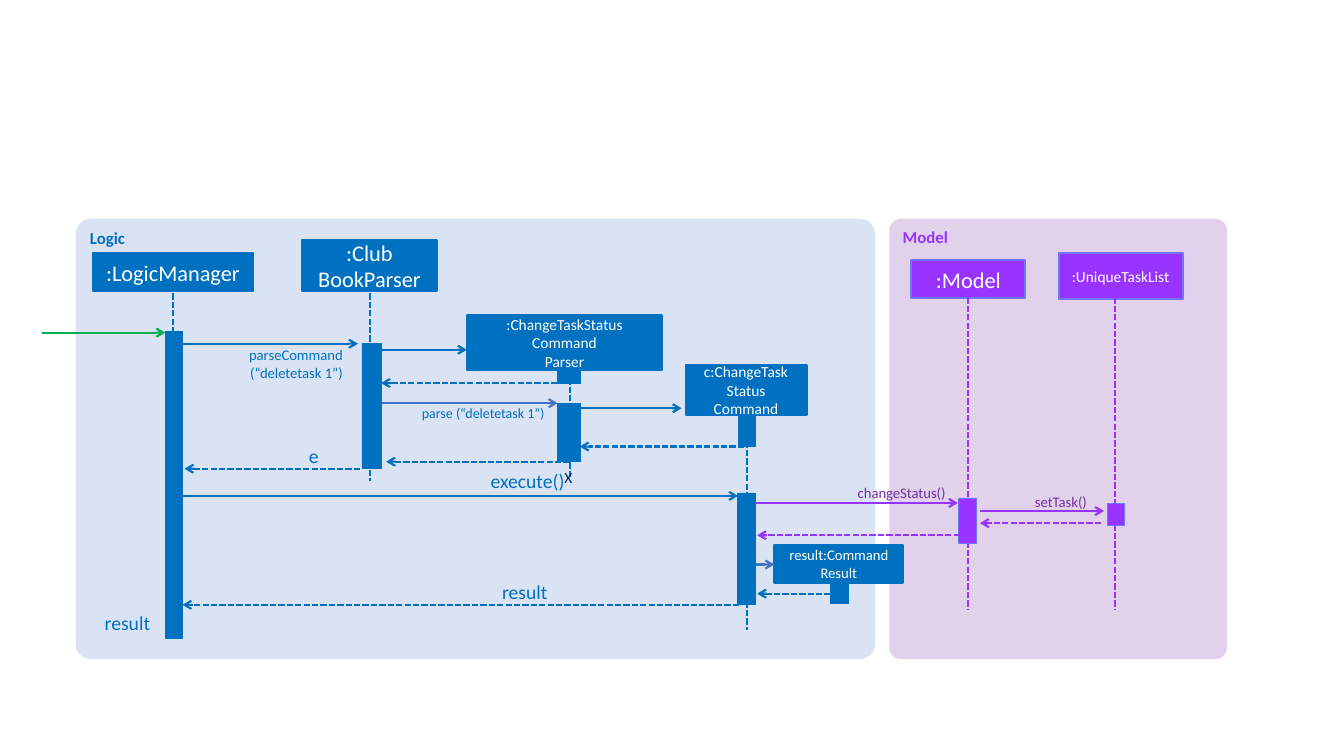
import pptx
import pptx.util
import pptx.dml.color
import pptx.enum.dml
import pptx.enum.shapes
import pptx.enum.text
import pptx.oxml
from dataclasses import dataclass

Inches = pptx.util.Inches
SHAPE = pptx.enum.shapes.MSO_SHAPE
ALIGN = pptx.enum.text.PP_ALIGN
ANCHOR = pptx.enum.text.MSO_ANCHOR
NAMESPACE = 'xmlns:a="http://schemas.openxmlformats.org/drawingml/2006/main"'

BLUE, STEEL, GREEN, NAVY = "0070C0", "4472C4", "00B050", "002060"
VIOLET, VIOLET_EDGE, PLUM = "9933FF", "6F75F7", "7030A0"
WHITE = "FFFFFF"


@dataclass
class Region:
    left: float
    top: float
    width: float
    height: float
    accent: str
    edge: str


def rgb(value):
    return pptx.dml.color.RGBColor.from_string(value)


def write(frame, text, size, color, align, bold=None):
    frame.text = text
    for paragraph in frame.paragraphs:
        paragraph.alignment = align
        paragraph.font.name = "Calibri"
        paragraph.font.size = pptx.util.Pt(size)
        paragraph.font.color.rgb = rgb(color)
        paragraph.font.bold = bold


def add_block(slide, region, kind, x, y, width, height, fill):
    block = slide.shapes.add_shape(
        kind, Inches(region.left + x), Inches(region.top + y), Inches(width), Inches(height))
    block.shadow.inherit = False
    block.fill.solid()
    block.fill.fore_color.rgb = rgb(fill)
    return block


def add_panel(slide, region, title, fill):
    panel = add_block(slide, region, SHAPE.ROUNDED_RECTANGLE, 0, 0,
                      region.width, region.height, fill)
    panel.adjustments[0] = 0.035
    panel.line.fill.background()
    panel.text_frame.vertical_anchor = ANCHOR.TOP
    write(panel.text_frame, title, 12, region.accent, ALIGN.LEFT, True)


def add_bar(slide, region, x, y, width, height, edge_width=0.5):
    bar = add_block(slide, region, SHAPE.RECTANGLE, x, y, width, height, region.accent)
    bar.line.color.rgb = rgb(region.edge)
    bar.line.width = pptx.util.Pt(edge_width)
    return bar


def add_header(slide, region, text, size, x, y, width, height):
    header = add_bar(slide, region, x, y, width, height, 1.5)
    header.text_frame.word_wrap = True
    header.text_frame.vertical_anchor = ANCHOR.MIDDLE
    write(header.text_frame, text, size, WHITE, ALIGN.CENTER)


def add_line(slide, region, start, end, color, dashed):
    line = slide.shapes.add_connector(
        pptx.enum.shapes.MSO_CONNECTOR.STRAIGHT,
        Inches(region.left + start[0]), Inches(region.top + start[1]),
        Inches(region.left + end[0]), Inches(region.top + end[1]))
    line.line.color.rgb = rgb(color)
    line.line.width = pptx.util.Pt(1.5)
    if dashed:
        line.line.dash_style = pptx.enum.dml.MSO_LINE.SQUARE_DOT
    properties = line._element.spPr
    properties.append(pptx.oxml.parse_xml(f"<a:effectLst {NAMESPACE}/>"))
    return line


def add_lifeline(slide, region, x, top, bottom):
    add_line(slide, region, (x, top), (x, bottom), region.accent, True)


def add_message(slide, region, start, end, y, color, dashed=False):
    message = add_line(slide, region, (start, y), (end, y), color, dashed)
    message.line._get_or_add_ln().append(
        pptx.oxml.parse_xml(f'<a:tailEnd {NAMESPACE} type="arrow"/>'))


def add_label(slide, region, text, size, x, y, width, height, color):
    label = slide.shapes.add_textbox(
        Inches(region.left + x), Inches(region.top + y), Inches(width), Inches(height))
    frame = label.text_frame
    frame.word_wrap = True
    frame.margin_left = frame.margin_right = frame.margin_top = frame.margin_bottom = 0
    write(frame, text, size, color, ALIGN.RIGHT)


def add_end_mark(slide, region, x, y, width, height):
    mark = slide.shapes.add_textbox(
        Inches(region.left + x), Inches(region.top + y), Inches(width), Inches(height))
    mark.text_frame.word_wrap = False
    write(mark.text_frame, "X", 11, NAVY, ALIGN.LEFT)


def draw_model(slide, region):
    add_panel(slide, region, "Model", "E2D1EB")
    add_header(slide, region, ":Model", 16, 0.22, 0.41, 1.13, 0.38)
    add_header(slide, region, ":UniqueTaskList", 11, 1.68, 0.34, 1.23, 0.46)
    for x in (0.78, 2.24):
        add_lifeline(slide, region, x, 0.78, 3.88)
    add_bar(slide, region, 0.69, 2.77, 0.17, 0.45)
    add_bar(slide, region, 2.16, 2.82, 0.17, 0.22)
    add_message(slide, region, 0.9, 2.13, 2.9, VIOLET)
    add_message(slide, region, 2.1, 0.9, 3.02, VIOLET, True)
    add_label(slide, region, "setTask()", 10.5, 1.32, 2.72, 0.64, 0.18, PLUM)


def draw_logic(slide, region):
    add_panel(slide, region, "Logic", "DAE3F3")
    headers = [
        (":LogicManager", 16, 0.17, 0.34, 1.59, 0.38),
        (":Club\nBookParser", 16, 2.25, 0.21, 1.33, 0.51),
        (":ChangeTaskStatus\nCommand\nParser", 11, 3.88, 0.96, 1.94, 0.54),
        ("c:ChangeTask\nStatus\vCommand", 11, 6.05, 1.45, 1.2, 0.5),
        ("result:Command Result", 10.5, 6.93, 3.24, 1.28, 0.37),
    ]
    lifelines = [(0.97, 0.74, 3.58), (2.92, 0.74, 2.6), (4.9, 1.5, 2.58), (6.66, 1.96, 4.08)]
    activations = [
        (0.89, 1.12, 0.17, 3.04),
        (2.84, 1.24, 0.19, 1.24),
        (4.78, 1.5, 0.23, 0.13),
        (4.78, 1.83, 0.23, 0.58),
        (6.57, 1.96, 0.17, 0.3),
        (6.56, 2.72, 0.18, 1.11),
        (7.49, 3.63, 0.17, 0.19),
    ]
    calls = [
        (-0.33, 0.89, 1.13, GREEN),
        (1.06, 2.8, 1.24, BLUE),
        (2.98, 3.88, 1.3, BLUE),
        (3.04, 4.78, 1.83, STEEL),
        (5, 6.01, 1.88, BLUE),
        (1.06, 6.57, 2.75, BLUE),
        (6.74, 8.75, 2.82, VIOLET),
        (6.75, 6.93, 3.43, STEEL),
    ]
    returns = [
        (4.78, 3.03, 1.63, BLUE),
        (6.63, 5, 2.26, BLUE),
        (4.9, 3.08, 2.41, BLUE),
        (2.82, 1.08, 2.48, BLUE),
        (8.77, 6.76, 3.14, VIOLET),
        (7.49, 6.76, 3.72, BLUE),
        (6.58, 1.06, 3.83, BLUE),
    ]
    labels = [
        ("parseCommand\n(“deletetask 1”)", 10.5, 1.09, 1.26, 1.56, 0.35, BLUE),
        ("parse (“deletetask 1”)", 10, 3.09, 1.84, 1.56, 0.17, BLUE),
        ("e", 14, 2.17, 2.23, 0.24, 0.24, BLUE),
        ("execute()", 14, 3.91, 2.48, 0.94, 0.24, BLUE),
        ("changeStatus()", 10.5, 7.07, 2.63, 1.56, 0.18, PLUM),
        ("result", 14, 4, 3.58, 0.68, 0.24, BLUE),
        ("result", 14, -0.09, 3.89, 0.83, 0.24, BLUE),
    ]
    for header in headers:
        add_header(slide, region, *header)
    for lifeline in lifelines:
        add_lifeline(slide, region, *lifeline)
    for activation in activations:
        add_bar(slide, region, *activation)
    for call in calls:
        add_message(slide, region, *call)
    for reply in returns:
        add_message(slide, region, *reply, dashed=True)
    for label in labels:
        add_label(slide, region, *label)
    add_end_mark(slide, region, 4.75, 2.42, 0.28, 0.29)


def main():
    deck = pptx.Presentation()
    deck.slide_width, deck.slide_height = Inches(13.33), Inches(7.5)
    slide = deck.slides.add_slide(deck.slide_layouts[6])
    draw_model(slide, Region(8.82, 2.17, 3.35, 4.37, VIOLET, VIOLET_EDGE))
    draw_logic(slide, Region(0.75, 2.17, 7.93, 4.37, BLUE, BLUE))
    deck.save("out.pptx")


if __name__ == "__main__":
    main()
